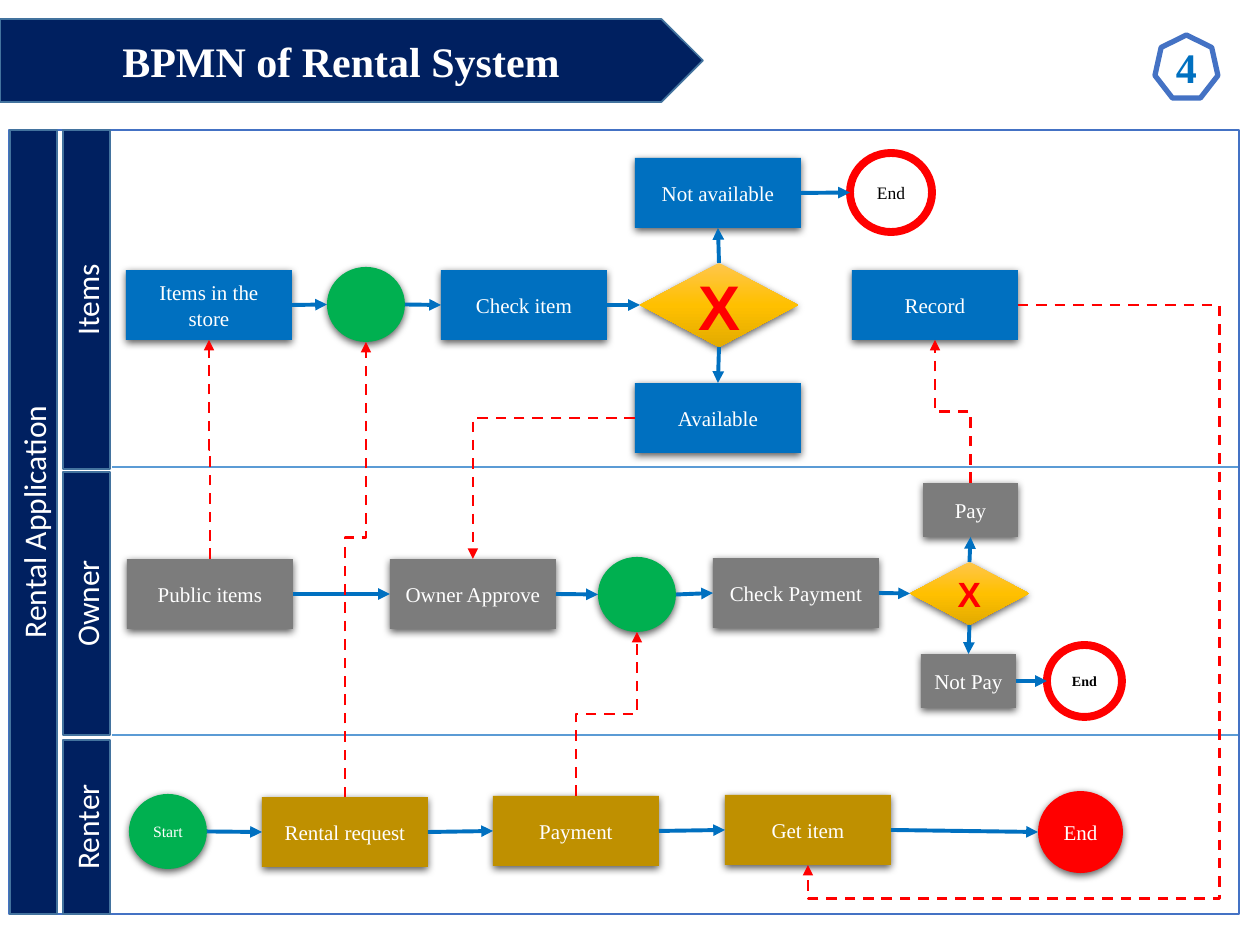
import pptx
import pptx.util
import pptx.dml.color
import pptx.enum.dml
import pptx.enum.shapes
import pptx.enum.text
import pptx.oxml
import pptx.oxml.ns
from copy import deepcopy
from dataclasses import dataclass
from lxml import etree

SHAPE = pptx.enum.shapes.MSO_SHAPE
CONNECTOR = pptx.enum.shapes.MSO_CONNECTOR
qn = pptx.oxml.ns.qn


@dataclass(frozen=True)
class Theme:
    serif: str = "Times New Roman"
    sans: str = "Calibri"
    mark: str = "Arial"
    white: str = "FFFFFF"
    black: str = "000000"
    navy: str = "002060"
    navy_edge: str = "43739E"
    frame: str = "4472C4"
    divider: str = "5B9BD5"
    blue: str = "0070C0"
    grey: str = "7C7C7C"
    gold: str = "BF9000"
    green: str = "00B050"
    red: str = "FF0000"
    gate: tuple = ("FFC64B", "FFC000", "E3AB00")
    title: int = 24
    lane: int = 18
    task: int = 12


T = Theme()
TASK_W, TASK_H = 166, 70
DOT_W, DOT_H = 78, 75

# name: (text, fill, left, top[, width, height])
TASKS = {
    "store": ("Items in the store", T.blue, 126, 270),
    "check item": ("Check item", T.blue, 441, 270),
    "not available": ("Not available", T.blue, 635, 158),
    "available": ("Available", T.blue, 635, 383),
    "record": ("Record", T.blue, 852, 270),
    "public": ("Public items", T.grey, 127, 559),
    "approve": ("Owner Approve", T.grey, 390, 559),
    "check payment": ("Check Payment", T.grey, 713, 558),
    "pay": ("Pay", T.grey, 923, 483, 95, 54),
    "not pay": ("Not Pay", T.grey, 921, 654, 95, 54),
    "request": ("Rental request", T.gold, 262, 797),
    "payment": ("Payment", T.gold, 493, 796),
    "get item": ("Get item", T.gold, 725, 795),
}
# name: (text, size, fill, left, top, width, height)
EVENTS = {
    "start": ("Start", 9, T.green, 129, 794, DOT_W, DOT_H),
    "item event": ("", 9, T.green, 327, 267, DOT_W, DOT_H),
    "owner event": ("", 9, T.green, 598, 557, DOT_W, DOT_H),
    "finish": ("End", 12, T.red, 1038, 791, 85, 82),
}
# name: (size, bold, left, top, width, height)
END_RINGS = {
    "items end": (10, False, 850, 153, 82, 79),
    "owner end": (8, True, 1047, 645, 75, 72),
}
# name: (size, left, top, width, height)
GATES = {
    "item gate": (36, 640, 263, 158, 84),
    "pay gate": (20, 910, 562, 119, 63),
}
# (from, side, to, side)
FLOWS = [
    ("store", "r", "item event", "l"), ("item event", "r", "check item", "l"),
    ("check item", "r", "item gate", "l"), ("item gate", "t", "not available", "b"),
    ("item gate", "b", "available", "t"), ("not available", "r", "items end", "l"),
    ("public", "r", "approve", "l"), ("approve", "r", "owner event", "l"),
    ("owner event", "r", "check payment", "l"), ("check payment", "r", "pay gate", "l"),
    ("pay gate", "t", "pay", "b"), ("pay gate", "b", "not pay", "t"),
    ("not pay", "r", "owner end", "l"), ("start", "r", "request", "l"),
    ("request", "r", "payment", "l"), ("payment", "r", "get item", "l"),
    ("get item", "r", "finish", "l"),
]
# (from, side, to, side, preset, adjustments)
MESSAGES = [
    ("public", "t", "store", "b", "bentConnector3", [0.5]),
    ("request", "t", "item event", "b", "bentConnector3", [0.57]),
    ("payment", "t", "owner event", "b", "bentConnector3", [0.5]),
    ("pay", "t", "record", "b", "bentConnector3", [0.5]),
    ("available", "l", "approve", "t", "bentConnector2", []),
    ("record", "r", "get item", "b", "bentConnector4", [-0.96, 1.06]),
]
LANES = [("Items", 130, 339), ("Owner", 472, 263), ("Renter", 740, 174)]


def px(n):
    return round(n * 914400 / 126)


def rgb(value):
    return pptx.dml.color.RGBColor.from_string(value)


def write(tf, text, size, color, font=T.serif, bold=False):
    tf.text = text
    tf.word_wrap = True
    tf.vertical_anchor = pptx.enum.text.MSO_ANCHOR.MIDDLE
    p = tf.paragraphs[0]
    p.alignment = pptx.enum.text.PP_ALIGN.CENTER
    for r in p.runs:
        r.font.name, r.font.bold = font, bold
        r.font.size = pptx.util.Pt(size)
        r.font.color.rgb = rgb(color)


def add_box(s, kind, box, fill, line=None, width=1):
    sp = s.shapes.add_shape(kind, *map(px, box))
    sp.shadow.inherit = False
    sp.fill.solid()
    sp.fill.fore_color.rgb = rgb(fill)
    if line:
        sp.line.color.rgb = rgb(line)
        sp.line.width = pptx.util.Pt(width)
    else:
        sp.line.fill.background()
    if kind != SHAPE.RECTANGLE:
        tf = sp.text_frame
        tf.margin_left = tf.margin_right = tf.margin_top = tf.margin_bottom = 0
    return sp


def add_shadow(sp):
    effects = sp._element.spPr.find(qn("a:effectLst"))
    shadow = etree.SubElement(effects, qn("a:outerShdw"), blurRad="57150",
                              dist="19050", dir="5400000", algn="ctr", rotWithShape="0")
    color = etree.SubElement(shadow, qn("a:srgbClr"), val=T.black)
    etree.SubElement(color, qn("a:alpha"), val="63000")


def add_gate(s, size, *box):
    sp = add_box(s, SHAPE.DIAMOND, box, T.gate[1])
    sp.fill.gradient()
    sp.fill.gradient_angle = 270
    stop_list = sp._element.spPr.find(".//" + qn("a:gsLst"))
    stop_list.append(deepcopy(stop_list[-1]))
    for i, stop in enumerate(sp.fill.gradient_stops):
        stop.position = i / 2
        stop.color.rgb = rgb(T.gate[i])
    add_shadow(sp)
    write(sp.text_frame, "X", size, T.red, T.mark, True)
    return sp


def add_lane_label(s, text, box):
    sp = add_box(s, SHAPE.RECTANGLE, box, T.navy, T.navy_edge)
    write(sp.text_frame, text, T.lane, T.white, T.sans)
    sp.text_frame._txBody.bodyPr.set("vert", "vert270")


def port(sp, side):
    dx, dy = {"l": (0, 1), "r": (2, 1), "t": (1, 0), "b": (1, 2)}[side]
    return sp.left + sp.width * dx // 2, sp.top + sp.height * dy // 2


def add_line(s, start, end, color, width, kind=CONNECTOR.STRAIGHT, dashed=False, arrow=True):
    c = s.shapes.add_connector(kind, *start, *end)
    c.line.color.rgb = rgb(color)
    c.line.width = pptx.util.Pt(width)
    if dashed:
        c.line.dash_style = pptx.enum.dml.MSO_LINE.DASH
    if arrow:
        etree.SubElement(c.line._get_or_add_ln(), qn("a:tailEnd"), type="triangle")
    etree.SubElement(c._element.spPr, qn("a:effectLst"))
    return c


def add_message(s, start, end, preset, adjustments):
    (x1, y1), (x2, y2) = start, end
    upward = preset == "bentConnector3"
    if upward:  # lay the line out sideways, then turn it about its centre
        cx, cy, w, h = (x1 + x2) // 2, (y1 + y2) // 2, y1 - y2, x2 - x1
        start = cx - w // 2, cy - h // 2
        end = start[0] + w, start[1] + h
    c = add_line(s, start, end, T.red, 1.5, CONNECTOR.ELBOW, dashed=True)
    spPr = c._element.spPr
    if upward:
        spPr.find(qn("a:xfrm")).set("rot", str(270 * 60000))
    geom = spPr.find(qn("a:prstGeom"))
    geom.set("prst", preset)
    guides = geom.find(qn("a:avLst"))
    for i, value in enumerate(adjustments, 1):
        etree.SubElement(guides, qn("a:gd"), name=f"adj{i}", fmla=f"val {round(value * 100000)}")


def add_header(s):
    add_box(s, SHAPE.PENTAGON, (0, 19, 703, 83), T.navy, T.navy_edge)
    title = s.shapes.title
    title.left, title.top, title.width, title.height = map(px, (0, 19, 682, 83))
    write(title.text_frame, "BPMN of Rental System", T.title, T.white, bold=True)
    title.text_frame.auto_size = pptx.enum.text.MSO_AUTO_SIZE.NONE
    s.shapes._spTree.append(title._element)  # bring the title above its banner
    badge = add_box(s, SHAPE.HEPTAGON, (1155, 35, 63, 63), T.white, T.frame, 3)
    write(badge.text_frame, "4", T.title, T.blue, bold=True)


def add_pool(s):
    add_box(s, SHAPE.RECTANGLE, (9, 130, 1230, 784), T.white, T.frame, 1.5)
    for y in (467, 735):
        add_line(s, (px(112), px(y)), (px(1238), px(y)), T.divider, 1.5, arrow=False)
    add_lane_label(s, "Rental Application", (10, 130, 47, 784))
    for text, top, height in LANES:
        add_lane_label(s, text, (63, top, 47, height))


def add_nodes(s):
    nodes = {}
    for name, (text, fill, x, y, *size) in TASKS.items():
        sp = add_box(s, SHAPE.RECTANGLE, (x, y, *(size or (TASK_W, TASK_H))), fill)
        add_shadow(sp)
        write(sp.text_frame, text, T.task, T.white)
        nodes[name] = sp
    for name, (text, size, fill, *box) in EVENTS.items():
        sp = add_box(s, SHAPE.OVAL, box, fill)
        add_shadow(sp)
        write(sp.text_frame, text, size, T.white)
        nodes[name] = sp
    for name, (size, bold, *box) in END_RINGS.items():
        nodes[name] = add_box(s, SHAPE.OVAL, box, T.white, T.red, 4.5)
        write(nodes[name].text_frame, "End", size, T.black, bold=bold)
    for name, gate in GATES.items():
        nodes[name] = add_gate(s, *gate)
    return nodes


def main():
    prs = pptx.Presentation()
    prs.slide_width, prs.slide_height = px(1260), px(945)
    s = prs.slides.add_slide(prs.slide_layouts[5])
    add_header(s)
    add_pool(s)
    nodes = add_nodes(s)
    for a, side_a, b, side_b in FLOWS:
        add_line(s, port(nodes[a], side_a), port(nodes[b], side_b), T.blue, 2.25)
    for a, side_a, b, side_b, preset, adjustments in MESSAGES:
        add_message(s, port(nodes[a], side_a), port(nodes[b], side_b), preset, adjustments)
    prs.save("out.pptx")


if __name__ == "__main__":
    main()
